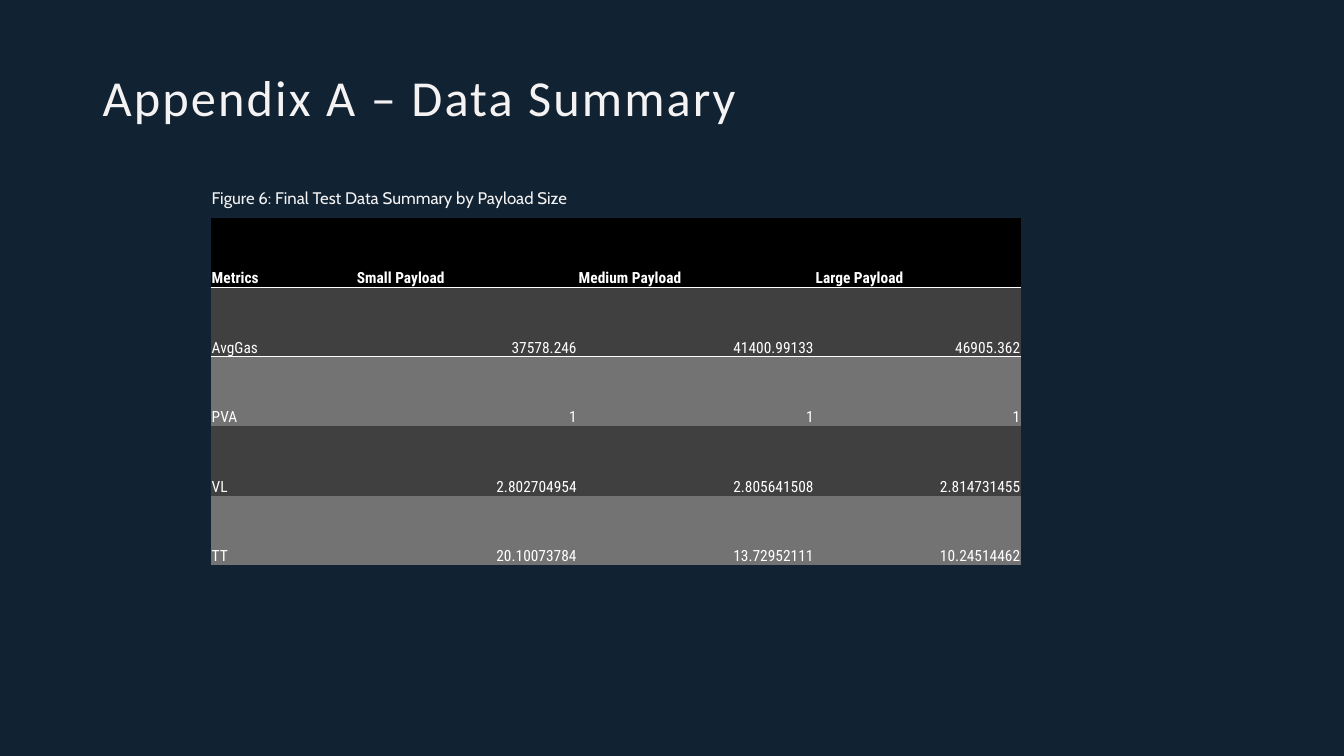
import lxml.etree
import pptx
import pptx.dml.color
import pptx.enum.text
import pptx.oxml.ns
import pptx.util

Inches = pptx.util.Inches
Pt = pptx.util.Pt
ALIGN = pptx.enum.text.PP_ALIGN
ANCHOR = pptx.enum.text.MSO_ANCHOR

TITLE = "Appendix A – Data Summary"
CAPTION = "Figure 6: Final Test Data Summary by Payload Size"
METRICS = [
    ("Metrics", "Small Payload", "Medium Payload", "Large Payload"),
    ("AvgGas", "37578.246", "41400.99133", "46905.362"),
    ("PVA", "1", "1", "1"),
    ("VL", "2.802704954", "2.805641508", "2.814731455"),
    ("TT", "20.10073784", "13.72952111", "10.24514462"),
]
COLUMN_WIDTHS = (1.44, 2.2, 2.35, 2.05)
ROW_HEIGHT = 0.69
COLORS = {
    "background": "112333",
    "heading": "F4F2F2",
    "table text": "FFFFFF",
    "header": "000000",
    "odd row": "404040",
    "even row": "737373",
}
NO_GRID_STYLE = "{2D5ABB26-0587-4C30-8999-92F81FD0307C}"


def rgb(name):
    return pptx.dml.color.RGBColor.from_string(COLORS[name])


def add_run(paragraph, text, font, size, color, bold=False):
    run = paragraph.add_run()
    run.text = text
    run.font.name = font
    run.font.size = Pt(size)
    run.font.bold = bold
    run.font.color.rgb = rgb(color)
    return run


def add_heading(slide, box, text, font, size, anchor):
    frame = slide.shapes.add_textbox(*map(Inches, box)).text_frame
    frame.word_wrap = True
    frame.vertical_anchor = anchor
    paragraph = frame.paragraphs[0]
    paragraph.line_spacing = 0.9
    return add_run(paragraph, text, font, size, "heading")


def add_border(cell, side):
    """Draw a 1 pt line on one side of a cell: lnT is top, lnB is bottom."""
    qn = pptx.oxml.ns.qn
    line = lxml.etree.Element(qn(f"a:{side}"), w=str(Pt(1)))
    fill = lxml.etree.SubElement(line, qn("a:solidFill"))
    lxml.etree.SubElement(fill, qn("a:srgbClr"), val=COLORS["table text"])
    cell._tc.get_or_add_tcPr().insert(0, line)


def fill_cell(cell, text, row, column):
    header = row == 0
    cell.margin_left = cell.margin_right = cell.margin_top = Inches(0.01)
    cell.margin_bottom = 0
    cell.vertical_anchor = ANCHOR.BOTTOM
    cell.fill.solid()
    band = "odd row" if row % 2 else "even row"
    cell.fill.fore_color.rgb = rgb("header" if header else band)
    paragraph = cell.text_frame.paragraphs[0]
    paragraph.alignment = ALIGN.LEFT if header or column == 0 else ALIGN.RIGHT
    add_run(paragraph, text, "Roboto Condensed", 11, "table text", header)
    if row < 2:
        add_border(cell, "lnB" if header else "lnT")


def add_metrics_table(slide):
    table = slide.shapes.add_table(
        len(METRICS), len(COLUMN_WIDTHS), Inches(2.09), Inches(2.16),
        Inches(sum(COLUMN_WIDTHS)), Inches(ROW_HEIGHT * len(METRICS))).table
    table.horz_banding = False
    style = table._tbl.tblPr.find(pptx.oxml.ns.qn("a:tableStyleId"))
    style.text = NO_GRID_STYLE
    for column, width in zip(table.columns, COLUMN_WIDTHS):
        column.width = Inches(width)
    for row, texts in enumerate(METRICS):
        table.rows[row].height = Inches(ROW_HEIGHT)
        for column, text in enumerate(texts):
            fill_cell(table.cell(row, column), text, row, column)


def main():
    deck = pptx.Presentation()
    deck.slide_width = Inches(13.33)
    deck.slide_height = Inches(7.5)
    slide = deck.slides.add_slide(deck.slide_layouts[6])
    slide.background.fill.solid()
    slide.background.fill.fore_color.rgb = rgb("background")

    title = add_heading(slide, (0.92, 0.4, 11.5, 1.18), TITLE,
                        "Calibri", 36, ANCHOR.MIDDLE)
    title.font._element.set("spc", "150")
    add_metrics_table(slide)
    add_heading(slide, (2, 1.84, 4.42, 0.23), CAPTION, "Cabin", 12, ANCHOR.TOP)
    deck.save("out.pptx")


if __name__ == "__main__":
    main()
